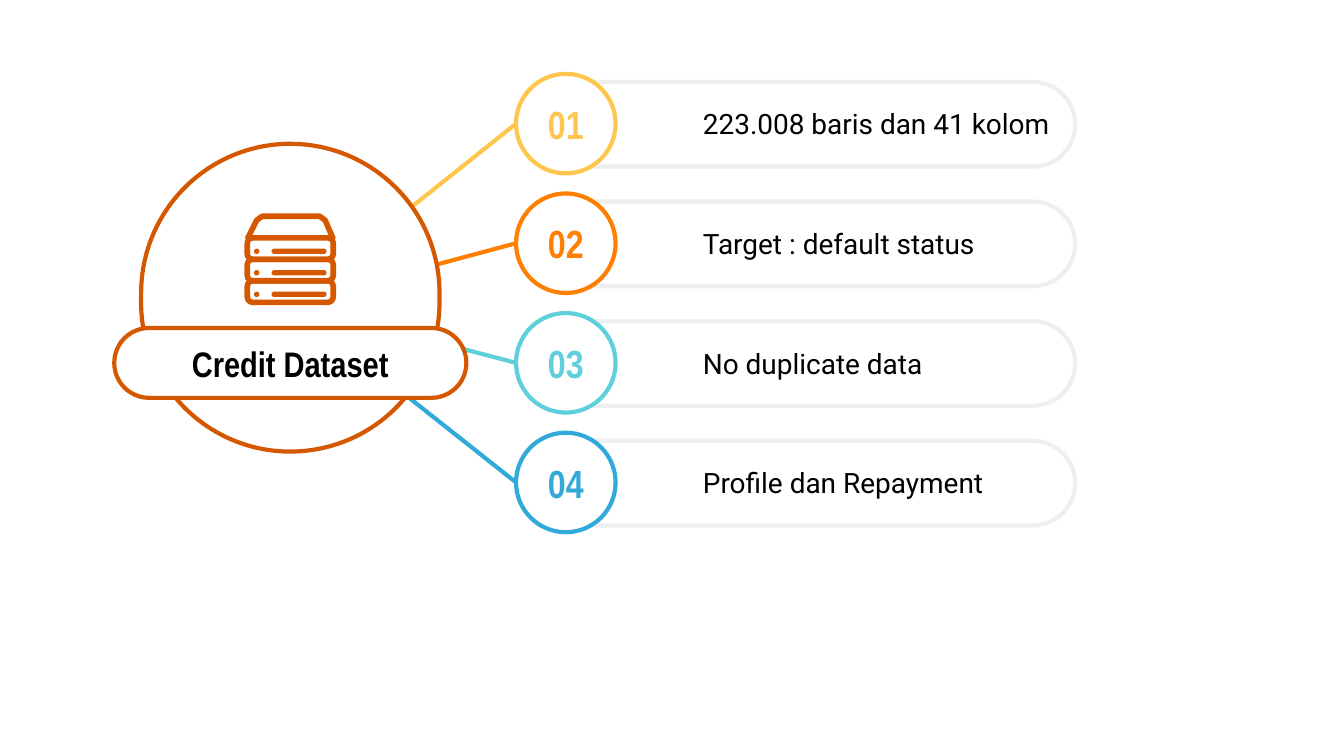
from lxml import etree
from pptx import Presentation
from pptx.dml.color import RGBColor
from pptx.enum.shapes import MSO_CONNECTOR, MSO_SHAPE
from pptx.enum.text import MSO_ANCHOR, PP_ALIGN
from pptx.oxml.ns import qn
from pptx.util import Inches, Pt

ROUND = MSO_SHAPE.ROUNDED_RECTANGLE
OVAL = MSO_SHAPE.OVAL
STRAIGHT = MSO_CONNECTOR.STRAIGHT
MIDDLE = MSO_ANCHOR.MIDDLE
LEFT, CENTER = PP_ALIGN.LEFT, PP_ALIGN.CENTER

COLORS = {
    "white": "FFFFFF", "black": "000000", "pill": "EFEFEF", "hub": "D55800",
    "yellow": "FFC64E", "orange": "FF8001", "teal": "5FD0DB", "blue": "32AAD9",
}
HEADING, BODY = "Arial Narrow", "Roboto"
LINE_WIDTH = 2.25
ICON_LINE = 3

ITEMS = [
    ("01", "223.008 baris dan 41 kolom", "yellow", 3.49),
    ("02", "Target : default status", "orange", 3.81),
    ("03", "No duplicate data", "teal", 3.81),
    ("04", "Profile dan Repayment", "blue", 3.81),
]


def rgb(name):
    return RGBColor.from_string(COLORS[name])


def style(sp, fill, line, width=LINE_WIDTH):
    sp.shadow.inherit = False
    if fill:
        sp.fill.solid()
        sp.fill.fore_color.rgb = rgb(fill)
    else:
        sp.fill.background()
    if line:
        sp.line.color.rgb = rgb(line)
        sp.line.width = Pt(width)
    else:
        sp.line.fill.background()


def add_shape(s, kind, box, fill, line, width=LINE_WIDTH, adj=0.5):
    sp = s.shapes.add_shape(kind, *map(Inches, box))
    if kind == ROUND:
        sp.adjustments[0] = adj
    style(sp, fill, line, width)
    return sp


def set_text(sp, text, font, size, color, bold=False, align=CENTER, left=0.1, right=0.1):
    tf = sp.text_frame
    tf.word_wrap = True
    tf.vertical_anchor = MIDDLE
    tf.margin_left, tf.margin_right = Inches(left), Inches(right)
    tf.margin_top = tf.margin_bottom = Inches(0.1)
    tf.text = text
    p = tf.paragraphs[0]
    p.alignment = align
    r = p.runs[0]
    r.font.name = font
    r.font.size = Pt(size)
    r.font.bold = bold
    r.font.color.rgb = rgb(color)


def add_item(s, x, y, center, item):
    number, text, color, width = item
    size = 0.74
    add_shape(s, ROUND, (x + 0.11, y + 0.06, 4.05, 0.63), "white", "pill")

    tb = s.shapes.add_textbox(*map(Inches, (x + 0.79, y + 0.15, width, 0.44)))
    set_text(tb, text, BODY, 15, "black", align=LEFT, left=0.6, right=0.2)

    line = s.shapes.add_connector(STRAIGHT, *map(Inches, (*center, x, y + size / 2)))
    line.line.color.rgb = rgb(color)
    line.line.width = Pt(LINE_WIDTH)
    etree.SubElement(line._element.spPr, qn("a:effectLst"))

    badge = add_shape(s, OVAL, (x, y, size, size), "white", color)
    set_text(badge, number, HEADING, 21, color, bold=True, left=0, right=0)


def add_server_icon(s, x, y):
    lid = [(0.02, 0.19), (0.09, 0.05), (0.13, 0.02), (0.56, 0.02), (0.6, 0.05), (0.66, 0.19)]
    points = [(Inches(x + dx), Inches(y + dy)) for dx, dy in lid]
    fb = s.shapes.build_freeform(*points[0])
    fb.add_line_segments(points[1:], close=False)
    style(fb.convert_to_shape(), None, "hub", ICON_LINE)

    pitch = 0.16
    for i in range(3):
        top = y + 0.18 + i * pitch
        add_shape(s, ROUND, (x + 0.02, top, 0.64, pitch), None, "hub", ICON_LINE, 0.25)
        add_shape(s, OVAL, (x + 0.07, top + 0.08, 0.04, 0.04), "hub", None)
        add_shape(s, ROUND, (x + 0.2, top + 0.08, 0.41, 0.04), "hub", None)


def add_hub(s, x, y, w, h):
    add_shape(s, ROUND, (x + 0.2, y, w - 0.4, h), "white", "hub")
    add_server_icon(s, x + 0.97, y + 0.52)
    label = add_shape(s, ROUND, (x, y + 1.37, w, 0.52), "white", "hub")
    set_text(label, "Credit Dataset", HEADING, 19, "black", bold=True)


def main():
    prs = Presentation()
    prs.slide_width = Inches(10)
    prs.slide_height = prs.slide_width * 9 // 16
    s = prs.slides.add_slide(prs.slide_layouts[6])
    for i, item in enumerate(ITEMS):
        add_item(s, 3.84, 0.55 + i * 0.89, (2.16, 2.26), item)
    add_hub(s, 0.85, 1.07, 2.62, 2.29)
    prs.save("out.pptx")


if __name__ == "__main__":
    main()
